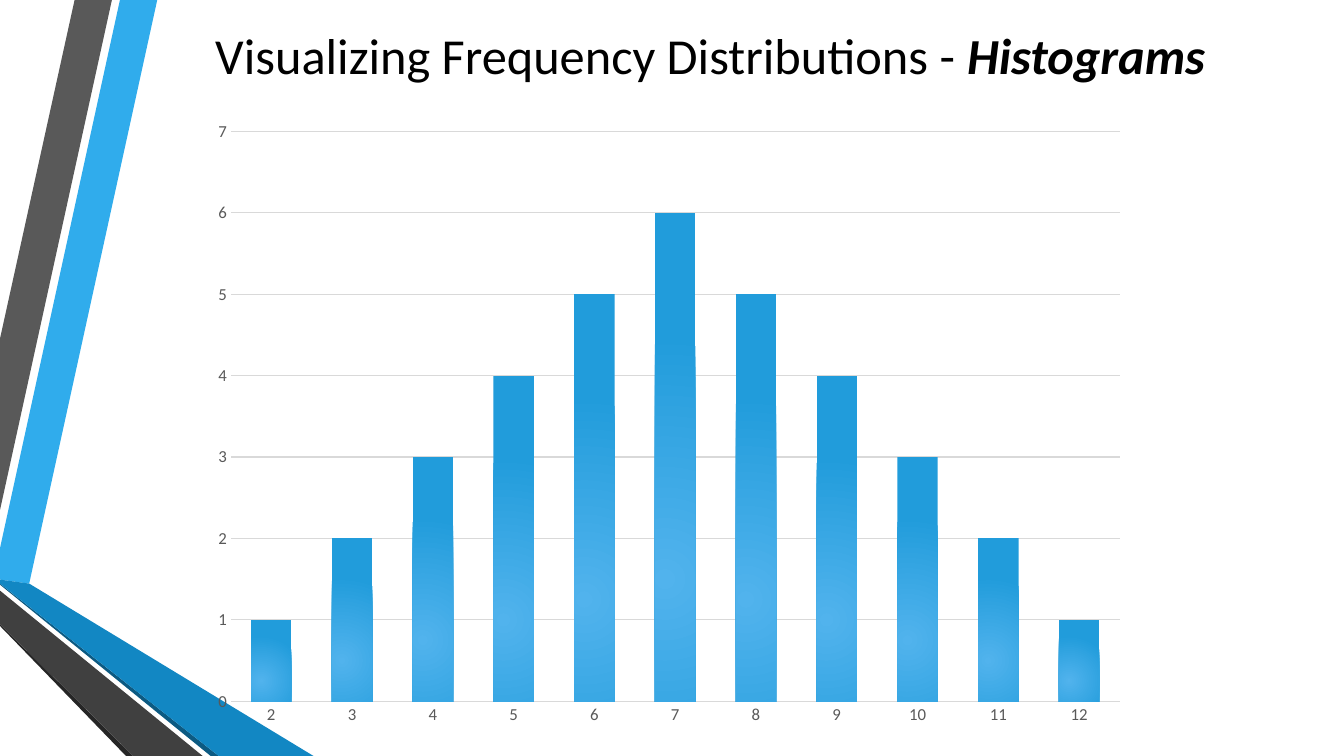
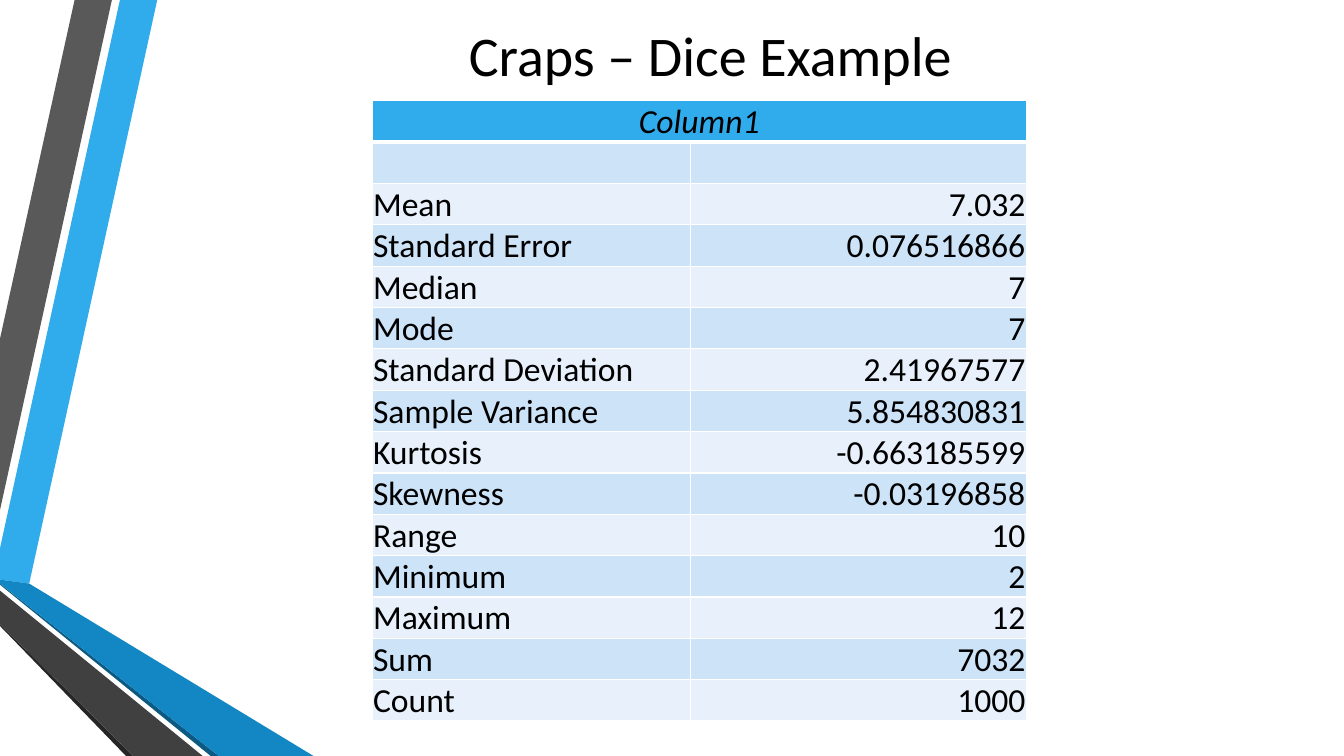
from lxml import etree
from pptx import Presentation
from pptx import util as u
from pptx.chart import data
from pptx.dml.color import RGBColor
from pptx.enum import chart as ce, text
from pptx.oxml import ns

FONT = "Calibri"
HUES = {
    "ink": "000000", "white": "FFFFFF", "label": "595959", "grid": "D9D9D9",
    "blue": "30ACEC", "gray": "595959", "black": "262626",
    "navy": "0C5A82", "deep": "1287C3", "dark": "404040",
    "odd": "CDE3F8", "even": "E8F1FB", "glow": "51B3ED", "edge": "219CDB",
}
BANDS = [
    ("blue", [(0, 5.44), (0, 5.75), (0.29, 5.79), (1.56, 0), (1.19, 0)]),
    ("gray", [(1.11, 0), (0.74, 0), (0, 3.36), (0, 5.06)]),
    ("black", [(0, 6.19), (0, 6.21), (1.25, 7.5), (1.32, 7.5)]),
    ("navy", [(0, 5.79), (0, 5.8), (2.09, 7.5), (2.17, 7.5)]),
    ("deep", [(0, 5.79), (2.17, 7.5), (3.11, 7.5), (0.29, 5.79), (0, 5.75)]),
    ("dark", [(0, 6.19), (1.32, 7.5), (2.01, 7.5), (0, 5.86)]),
]
ROLLS = {n: 6 - abs(n - 7) for n in range(2, 13)}
STATS = [
    ("Mean", "7.032"),
    ("Standard Error", "0.076516866"),
    ("Median", "7"),
    ("Mode", "7"),
    ("Standard Deviation", "2.41967577"),
    ("Sample Variance", "5.854830831"),
    ("Kurtosis", "-0.663185599"),
    ("Skewness", "-0.03196858"),
    ("Range", "10"),
    ("Minimum", "2"),
    ("Maximum", "12"),
    ("Sum", "7032"),
    ("Count", "1000"),
]
LEFT, MID, RIGHT = text.PP_ALIGN.LEFT, text.PP_ALIGN.CENTER, text.PP_ALIGN.RIGHT


def rgb(hue):
    return RGBColor.from_string(HUES[hue])


def style(font, size, hue="ink", bold=False, italic=False):
    font.name, font.size = FONT, u.Pt(size)
    font.bold, font.italic = bold, italic
    font.color.rgb = rgb(hue)


def write(para, words, align=LEFT, **look):
    """Add one run of text to a paragraph."""
    para.alignment = align
    run = para.add_run()
    run.text = words
    style(run.font, **look)


def paint(fill, hue):
    fill.solid()
    fill.fore_color.rgb = rgb(hue)


def node(tree, tag, **attrs):
    return etree.SubElement(tree, ns.qn(tag), attrs)


def frame(cell, **widths):
    """Draw white cell borders; widths in points by side (L, R, T, B)."""
    props = cell._tc.get_or_add_tcPr()
    for side in "LRTB":
        line = node(props, "a:ln" + side, w=str(u.Pt(widths.get(side, 1))))
        node(node(line, "a:solidFill"), "a:srgbClr", val=HUES["white"])


def shine(fill):
    """Give a fill a round gradient centred low and left."""
    fill.gradient()
    grad = fill._xPr.find(ns.qn("a:gradFill"))
    for child in list(grad):
        grad.remove(child)
    stops = node(grad, "a:gsLst")
    for pos, hue in (("0", "glow"), ("100000", "edge")):
        node(node(stops, "a:gs", pos=pos), "a:srgbClr", val=HUES[hue])
    node(node(grad, "a:path", path="circle"), "a:fillToRect",
         l="50000", t="100000", r="100000", b="50000")


class Deck:
    def __init__(self):
        self.pres = Presentation()
        self.pres.slide_width = u.Inches(13.33)
        self.pres.slide_height = u.Inches(7.5)
        self.slide = None

    def page(self, *runs, size):
        """Start a slide with the bands and a title of (words, format) runs."""
        self.slide = self.pres.slides.add_slide(self.pres.slide_layouts[6])
        for hue, points in BANDS:
            self.band(hue, points)
        self.title(runs, size)

    def band(self, hue, points):
        start, *rest = [(u.Inches(x), u.Inches(y)) for x, y in points]
        pen = self.slide.shapes.build_freeform(*start)
        pen.add_line_segments(rest, close=True)
        shape = pen.convert_to_shape()
        shape.shadow.inherit = False
        paint(shape.fill, hue)
        shape.line.fill.background()

    def title(self, runs, size):
        box = self.slide.shapes.add_textbox(
            u.Inches(1.43), 0, u.Inches(11.23), u.Inches(1.08))
        body = box.text_frame
        body.word_wrap = True
        body.vertical_anchor = text.MSO_ANCHOR.MIDDLE
        for words, look in runs:
            write(body.paragraphs[0], words, align=MID, size=size, **look)

    def bars(self, rolls, x, y, w, h):
        table = data.CategoryChartData(number_format="General")
        table.categories = [str(n) for n in rolls]
        table.add_series("Series 1", list(rolls.values()))
        chart = self.slide.shapes.add_chart(
            ce.XL_CHART_TYPE.COLUMN_CLUSTERED, u.Inches(x), u.Inches(y),
            u.Inches(w), u.Inches(h), table).chart
        chart.has_legend = chart.has_title = False
        style(chart.font, 10)
        plot = chart.plots[0]
        plot.gap_width, plot.overlap = 100, -24
        plot.vary_by_categories = False
        shine(plot.series[0].format.fill)
        cat, val = chart.category_axis, chart.value_axis
        for axis in (cat, val):
            axis.major_tick_mark = axis.minor_tick_mark = ce.XL_TICK_MARK.NONE
            style(axis.tick_labels.font, 12, "label")
        cat.has_major_gridlines = False
        val.has_major_gridlines = True
        val.minimum_scale, val.maximum_scale, val.major_unit = 0, 7, 1
        val.format.line.fill.background()
        for owner, width in ((cat, 1), (val.major_gridlines, 0.75)):
            owner.format.line.color.rgb = rgb("grid")
            owner.format.line.width = u.Pt(width)

    def grid(self, head, rows, x, y, widths, high):
        """Add a table with a merged head, an empty row and the given rows."""
        rows = [(head, ""), ("", ""), *rows]
        table = self.slide.shapes.add_table(
            len(rows), len(widths), u.Inches(x), u.Inches(y),
            u.Inches(sum(widths)), u.Inches(high * len(rows))).table
        table.first_row = table.horz_banding = False
        for col, width in zip(table.columns, widths):
            col.width = u.Inches(width)
        for i, row in enumerate(rows):
            table.rows[i].height = u.Inches(high)
            hue = "blue" if i == 0 else "odd" if i % 2 else "even"
            for j, words in enumerate(row):
                cell = table.cell(i, j)
                frame(cell, T=3 if i == 1 else 1, B=3 if i == 0 else 1)
                paint(cell.fill, hue)
                cell.vertical_anchor = text.MSO_ANCHOR.BOTTOM
                cell.margin_left = cell.margin_right = u.Inches(0.01)
                cell.margin_top, cell.margin_bottom = u.Inches(0.01), 0
                if words:
                    align = MID if i == 0 else (LEFT, RIGHT)[j]
                    write(cell.text_frame.paragraphs[0], words, align=align,
                          size=24, italic=i == 0)
        table.cell(0, 0).merge(table.cell(0, len(widths) - 1))


def main():
    deck = Deck()
    deck.page(("Visualizing Frequency Distributions - ", {}),
              ("Histograms", {"bold": True, "italic": True}), size=36)
    deck.bars(ROLLS, 1.98, 1.08, 9.31, 6.24)
    deck.page(("Craps – Dice Example", {}), size=40)
    deck.grid("Column1", STATS, 3.69, 1, (3.16, 3.33), 0.41)
    deck.pres.save("out.pptx")


if __name__ == "__main__":
    main()
